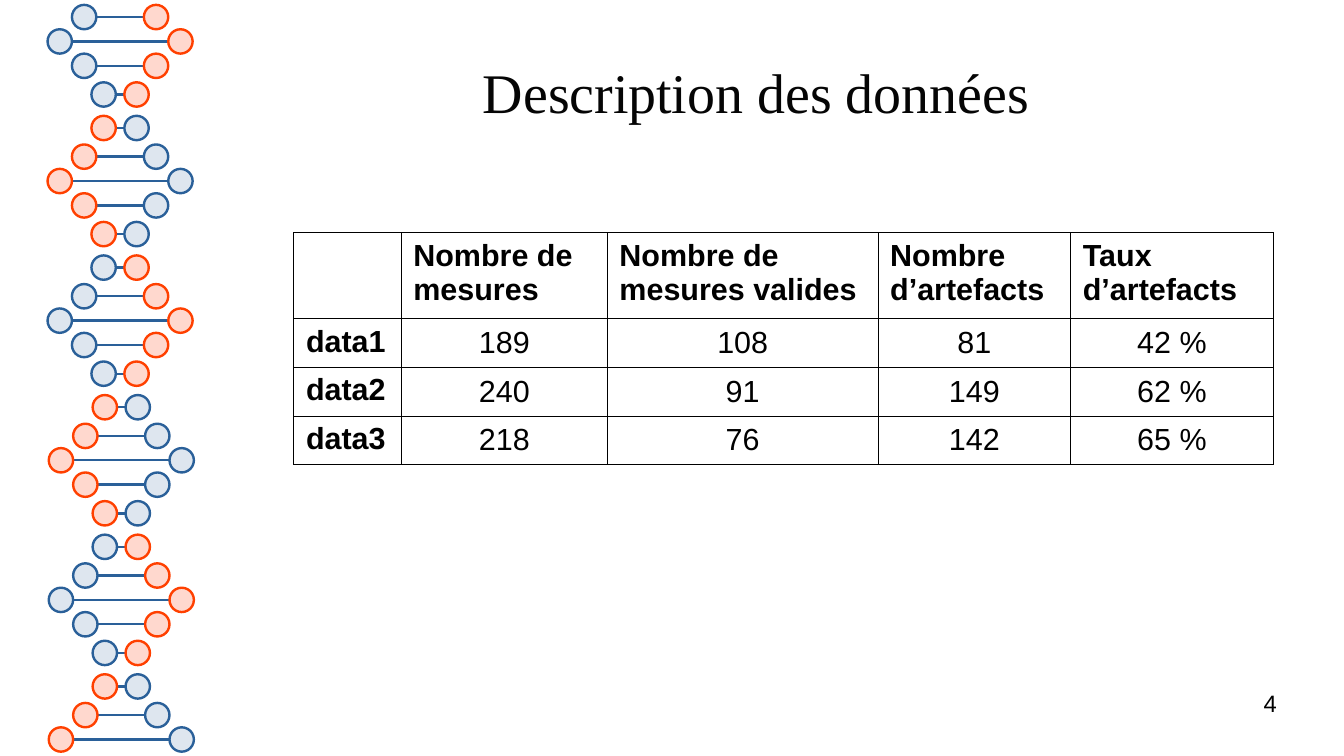
from dataclasses import dataclass

from lxml import etree
from pptx import Presentation
from pptx.dml.color import RGBColor
from pptx.enum.shapes import MSO_CONNECTOR, MSO_SHAPE
from pptx.enum.text import MSO_ANCHOR, PP_ALIGN
from pptx.oxml.ns import qn
from pptx.util import Inches, Pt

STRAIGHT = MSO_CONNECTOR.STRAIGHT
OVAL = MSO_SHAPE.OVAL
TOP, MIDDLE = MSO_ANCHOR.TOP, MSO_ANCHOR.MIDDLE
LEFT, CENTER, RIGHT = PP_ALIGN.LEFT, PP_ALIGN.CENTER, PP_ALIGN.RIGHT

COLUMNS, ROWS = 1102, 620
CELL = Inches(0.01)


@dataclass(frozen=True)
class Theme:
    blue: str = "2A6099"
    pale_blue: str = "DEE6EF"
    orange: str = "FF4000"
    pale_orange: str = "FFD8CE"
    title_color: str = "050505"
    text_color: str = "000000"
    title_font: str = "Times New Roman"
    body_font: str = "Arial"
    title_size: float = 33
    table_size: float = 18
    number_size: float = 14
    helix_line: float = 1.42
    border_line: float = 0.57


THEME = Theme()

BEAD = 20
TURN_COUNT = 6
FIRST_TURN, TURN_PITCH = 34, 114.5
RUNGS = [(-43.5, 13.5), (-20, 29.5), (0, 49.5), (20, 29.5), (43.5, 13.5)]

TABLE_LEFT, TABLE_TOP = 241, 191
COLUMN_WIDTHS = [88, 169, 222, 158, 166]
ROW_HEIGHTS = [67, 38, 38, 38]
TABLE_ROWS = [
    ["", "Nombre de mesures", "Nombre de mesures valides", "Nombre d’artefacts", "Taux d’artefacts"],
    ["data1", "189", "108", "81", "42 %"],
    ["data2", "240", "91", "149", "62 %"],
    ["data3", "218", "76", "142", "65 %"],
]


def grid(cells):
    return round(cells * CELL)


def set_attributes(target, values):
    for name, value in values.items():
        setattr(target, name, value)


def write_text(text_frame, text, alignment, font, size, color, bold=False):
    paragraph = text_frame.paragraphs[0]
    paragraph.alignment = alignment
    run = paragraph.add_run()
    run.text = text
    set_attributes(run.font, {"name": font, "size": Pt(size), "bold": bold})
    run.font.color.rgb = RGBColor.from_string(color)


def add_text(slide, box, text, anchor, *style):
    text_frame = slide.shapes.add_textbox(*map(grid, box)).text_frame
    set_attributes(text_frame, {
        "word_wrap": True, "vertical_anchor": anchor,
        "margin_left": 0, "margin_top": 0, "margin_right": 0, "margin_bottom": 0,
    })
    write_text(text_frame, text, *style)


def set_line(line, color):
    line.color.rgb = RGBColor.from_string(color)
    line.width = Pt(THEME.helix_line)


def add_rung(slide, start, end, y):
    connector = slide.shapes.add_connector(STRAIGHT, grid(start), grid(y), grid(end), grid(y))
    set_line(connector.line, THEME.blue)
    etree.SubElement(connector._element.spPr, qn("a:effectLst"))


def add_bead(slide, x, y, fill, line):
    corner = (x - BEAD / 2, y - BEAD / 2)
    shape = slide.shapes.add_shape(OVAL, *map(grid, (*corner, BEAD, BEAD)))
    shape.shadow.inherit = False
    shape.fill.solid()
    shape.fill.fore_color.rgb = RGBColor.from_string(fill)
    set_line(shape.line, line)


def helix_rungs():
    for turn in range(TURN_COUNT):
        axis = 98.5 if turn < TURN_COUNT / 2 else 99.5
        for offset, reach in RUNGS:
            y = FIRST_TURN + turn * TURN_PITCH + offset
            if 0 < y < ROWS - BEAD / 2:
                yield turn, axis - reach, axis + reach, y


def add_helix(slide):
    rungs = list(helix_rungs())
    for turn, left, right, y in rungs:
        add_rung(slide, left + BEAD / 2, right - BEAD / 2, y)
    strands = [(THEME.pale_blue, THEME.blue), (THEME.pale_orange, THEME.orange)]
    for turn, left, right, y in rungs:
        add_bead(slide, left, y, *strands[turn % 2])
        add_bead(slide, right, y, *strands[(turn + 1) % 2])


def add_borders(cell):
    properties = cell._tc.get_or_add_tcPr()
    for position, side in enumerate(("a:lnL", "a:lnR", "a:lnT", "a:lnB")):
        border = etree.Element(qn(side), w=str(Pt(THEME.border_line)))
        fill = etree.SubElement(border, qn("a:solidFill"))
        etree.SubElement(fill, qn("a:srgbClr"), val=THEME.text_color)
        properties.insert(position, border)


def fill_cell(cell, text, is_label, is_heading):
    cell.fill.background()
    add_borders(cell)
    set_attributes(cell, {
        "margin_left": grid(10), "margin_right": grid(10),
        "margin_top": grid(5), "margin_bottom": grid(5),
        "vertical_anchor": TOP if is_label or is_heading else MIDDLE,
    })
    if text:
        bold = is_label or is_heading
        write_text(cell.text_frame, text, LEFT if bold else CENTER,
                   THEME.body_font, THEME.table_size, THEME.text_color, bold)


def add_data_table(slide):
    box = (TABLE_LEFT, TABLE_TOP, sum(COLUMN_WIDTHS), sum(ROW_HEIGHTS))
    table = slide.shapes.add_table(len(ROW_HEIGHTS), len(COLUMN_WIDTHS), *map(grid, box)).table
    set_attributes(table, {"first_row": False, "horz_banding": False})
    for column, width in zip(table.columns, COLUMN_WIDTHS):
        column.width = grid(width)
    for row, height in zip(table.rows, ROW_HEIGHTS):
        row.height = grid(height)
    for row_index, texts in enumerate(TABLE_ROWS):
        for column_index, text in enumerate(texts):
            fill_cell(table.cell(row_index, column_index), text, column_index == 0, row_index == 0)


def main():
    presentation = Presentation()
    set_attributes(presentation, {"slide_width": grid(COLUMNS), "slide_height": grid(ROWS)})
    slide = presentation.slides.add_slide(presentation.slide_layouts[6])
    add_helix(slide)
    add_text(slide, (177, 24, 886, 102), "Description des données", MIDDLE,
             CENTER, THEME.title_font, THEME.title_size, THEME.title_color)
    add_data_table(slide)
    add_text(slide, (790, 565, 257, 43), "4", TOP,
             RIGHT, THEME.body_font, THEME.number_size, THEME.text_color)
    presentation.save("out.pptx")


if __name__ == "__main__":
    main()
